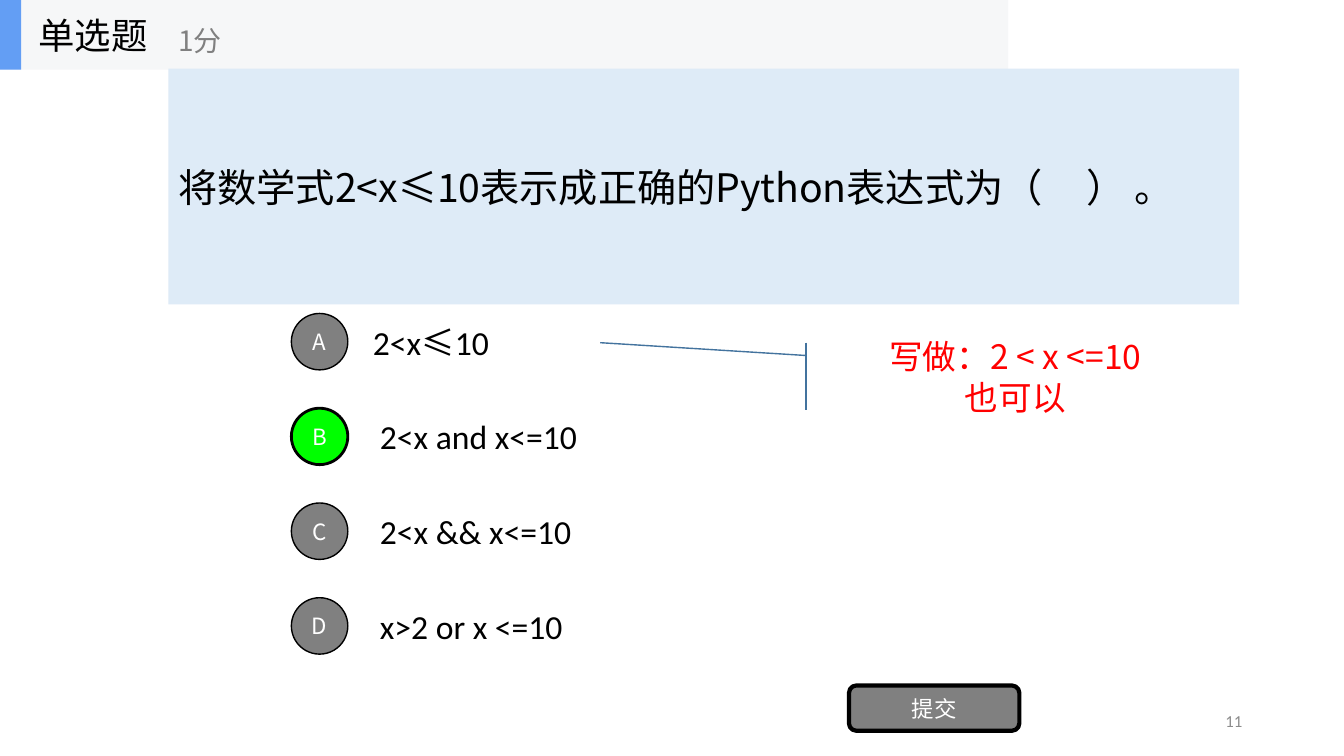
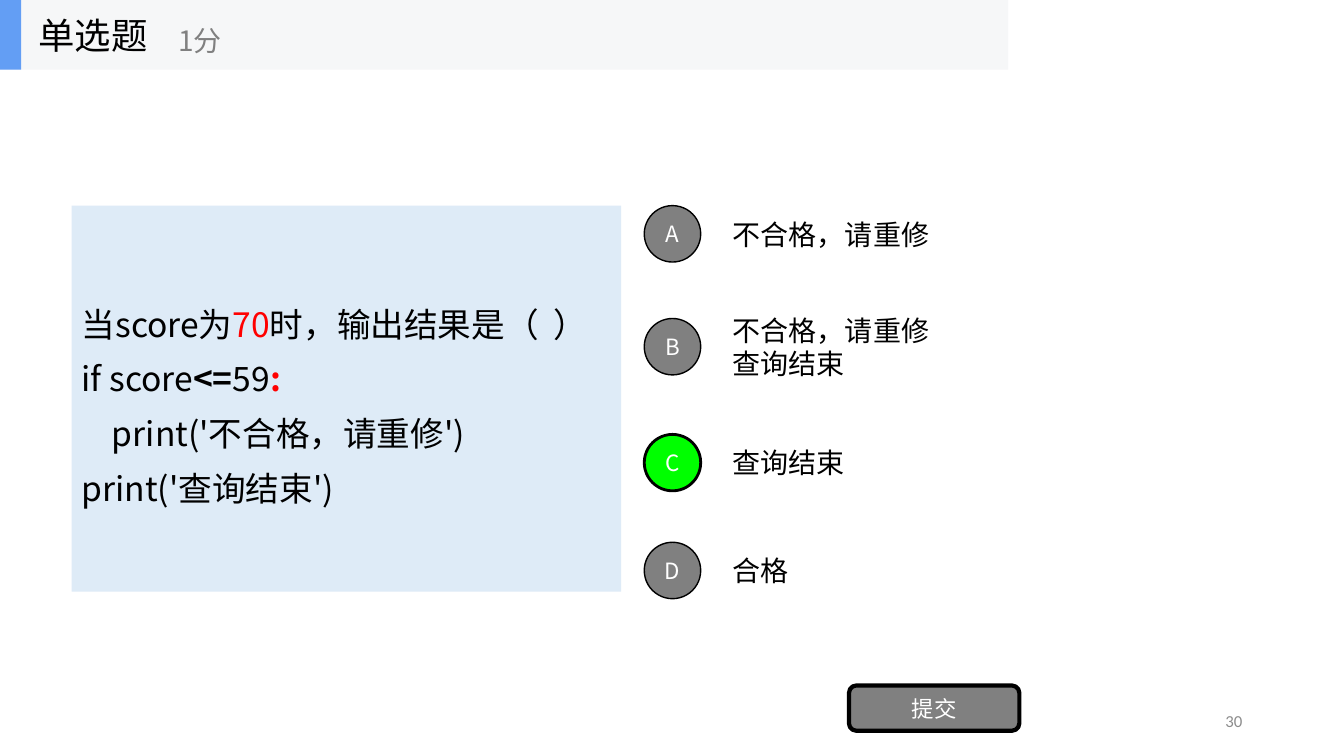
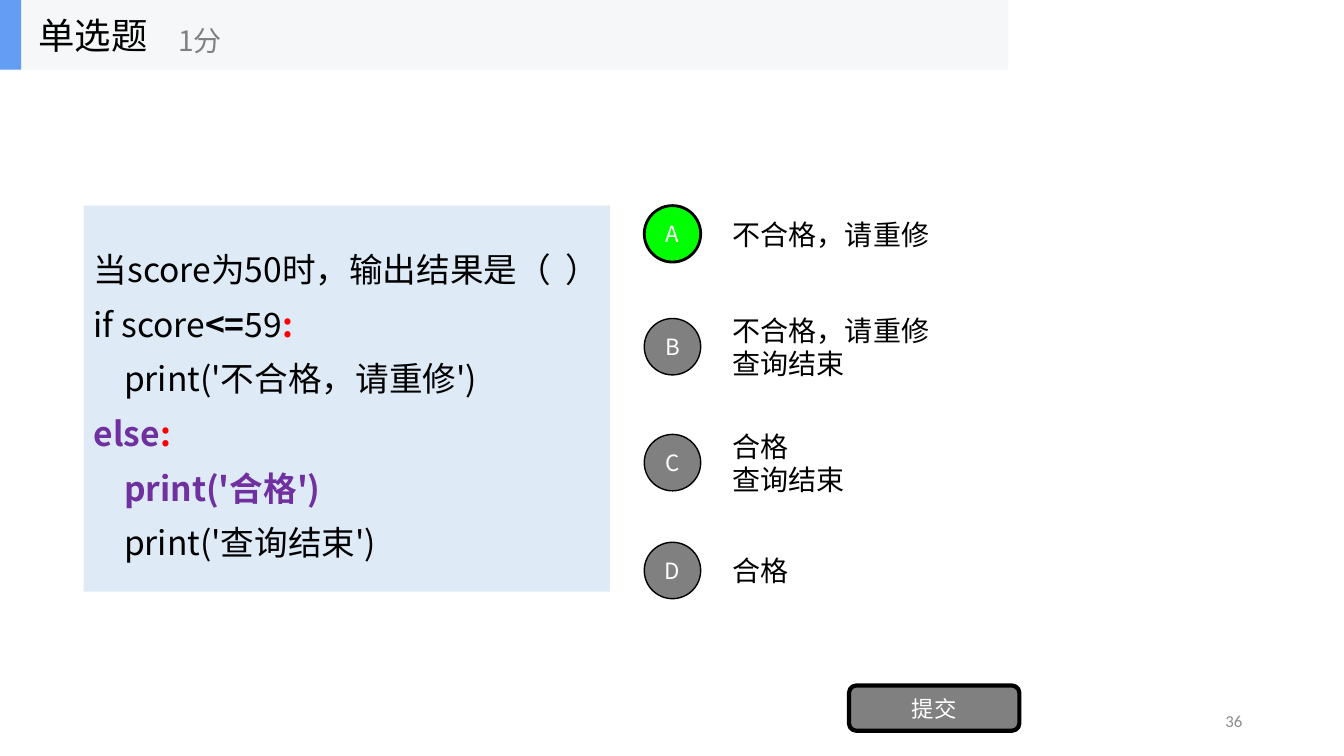
from lxml import etree
from pptx import Presentation
from pptx.dml.color import RGBColor
from pptx.enum.shapes import MSO_SHAPE
from pptx.enum.text import MSO_ANCHOR, MSO_AUTO_SIZE, PP_ALIGN
from pptx.oxml.ns import qn
from pptx.util import Inches, Pt

RECTANGLE = MSO_SHAPE.RECTANGLE
ROUNDED = MSO_SHAPE.ROUNDED_RECTANGLE
OVAL = MSO_SHAPE.OVAL
CALLOUT = MSO_SHAPE.LINE_CALLOUT_1_ACCENT_BAR
MIDDLE = MSO_ANCHOR.MIDDLE
NO_AUTOFIT = MSO_AUTO_SIZE.NONE
LEFT, CENTER, RIGHT = PP_ALIGN.LEFT, PP_ALIGN.CENTER, PP_ALIGN.RIGHT

COLORS = {
    "black": "000000",
    "white": "FFFFFF",
    "gray": "808080",
    "number": "8C8C8C",
    "band": "F6F7F8",
    "accent": "639EF4",
    "panel": "DEEBF7",
    "correct": "00FF00",
    "red": "FF0000",
    "purple": "7030A0",
    "callout": "43739E",
}
HAN = "Noto Sans CJK SC"
LATIN = "Calibri"

CIRCLE = 0.56
ANSWER_HEIGHT = 0.7
ANSWER_OFFSET = 0.78
CODE_INDENT = 0.3
CODE_SPACING = 39
CODE_TOPS = [2.04, 3.16, 4.31, 5.38]

RED_BOLD = {"color": "red", "bold": True}
PURPLE_BOLD = {"color": "purple", "bold": True}
CONDITION = (0, [("if score", {}), ("<=", {"bold": True}), ("59", {}), (":", RED_BOLD)])
PRINT_FAIL = (CODE_INDENT, [("print('不合格，请重修')", {})])


def color(name):
    return RGBColor.from_string(COLORS[name])


def place(shape, left, top, width, height):
    shape.left, shape.top = Inches(left), Inches(top)
    shape.width, shape.height = Inches(width), Inches(height)


def add_run(paragraph, text, size, font=HAN, ink="black", bold=False):
    run = paragraph.add_run()
    run.text = text
    run.font.size = Pt(size)
    run.font.bold = bold
    run.font.color.rgb = color(ink)
    run.font.name = font
    etree.SubElement(run.font._element, qn("a:ea")).set("typeface", font)


def start_lines(shape, count):
    frame = shape.text_frame
    frame.word_wrap = True
    frame.auto_size = NO_AUTOFIT
    frame.vertical_anchor = MIDDLE
    return [frame.paragraphs[0]] + [frame.add_paragraph() for _ in range(count - 1)]


def write(shape, lines, size, ink="black", align=LEFT, font=HAN):
    for paragraph, line in zip(start_lines(shape, len(lines)), lines):
        paragraph.alignment = align
        pieces = [(line, font)] if isinstance(line, str) else line
        for text, face in pieces:
            add_run(paragraph, text, size, face, ink)


def add_label(slide, box, lines, size, **style):
    label = slide.shapes.add_textbox(*map(Inches, box))
    write(label, lines, size, **style)


def add_block(slide, kind, box, fill=None, line=None, weight=1):
    block = slide.shapes.add_shape(kind, *map(Inches, box))
    block.shadow.inherit = False
    if fill:
        block.fill.solid()
        block.fill.fore_color.rgb = color(fill)
    else:
        block.fill.background()
    if line:
        block.line.color.rgb = color(line)
        block.line.width = Pt(weight)
    else:
        block.line.fill.background()
    return block


def add_header(slide):
    title = slide.shapes.title
    for box, fill in [((0, 0, 10, 0.69), "band"), ((0, 0, 0.21, 0.69), "accent")]:
        bar = add_block(slide, RECTANGLE, box, fill)
        title.element.addprevious(bar.element)
    place(title, 0.28, 0, 2.08, 0.69)
    write(title, ["单选题"], 26)
    add_label(slide, (1.67, 0.12, 2.5, 0.56), ["1分"], 20, ink="gray")


def fill_question(slide, box, lines, size, spacing=None):
    question = slide.placeholders[1]
    place(question, *box)
    question.fill.solid()
    question.fill.fore_color.rgb = color("panel")
    for paragraph, (indent, pieces) in zip(start_lines(question, len(lines)), lines):
        paragraph.alignment = LEFT
        paragraph.space_before = Pt(0)
        if spacing:
            paragraph.line_spacing = Pt(spacing)
        properties = paragraph._p.get_or_add_pPr()
        properties.set("marL", str(Inches(indent)))
        properties.set("indent", "0")
        etree.SubElement(properties, qn("a:buNone"))
        for text, style in pieces:
            add_run(paragraph, text, size, ink=style.get("color", "black"),
                    bold=style.get("bold", False))


def add_options(slide, left, tops, answers, correct, size, width, font=HAN, first_shift=0):
    for letter, top, lines in zip("ABCD", tops, answers):
        is_correct = letter == correct
        marker = add_block(slide, OVAL, (left, top, CIRCLE, CIRCLE),
                           "correct" if is_correct else "gray", "black",
                           2 if is_correct else 1)
        write(marker, [letter], 16, "white", CENTER)
        answer_left = left + ANSWER_OFFSET + (first_shift if letter == "A" else 0)
        answer_top = top - (ANSWER_HEIGHT - CIRCLE) / 2
        add_label(slide, (answer_left, answer_top, width, ANSWER_HEIGHT),
                  lines, size, font=font)


def add_quiz_slide(prs, number):
    slide = prs.slides.add_slide(prs.slide_layouts[1])
    add_header(slide)
    submit = add_block(slide, ROUNDED, (8.42, 6.8, 1.69, 0.45), "gray", "black", 3)
    write(submit, ["提交"], 16, "white", CENTER)
    add_label(slide, (9.42, 6.95, 3, 0.4), [str(number)], 12,
              ink="number", align=RIGHT, font=LATIN)
    return slide


def add_expression_slide(prs):
    slide = add_quiz_slide(prs, 11)
    question = "将数学式2<x≤10表示成正确的Python表达式为（     ） 。"
    fill_question(slide, (1.67, 0.68, 10.62, 2.34), [(0, [(question, {})])], 28)
    answers = [
        [[("2<x", LATIN), ("≤", HAN), ("10", LATIN)]],
        ["2<x and x<=10"],
        ["2<x && x<=10"],
        ["x>2 or x <=10"],
    ]
    tops = [3.11 + 0.94 * row for row in range(4)]
    add_options(slide, 2.89, tops, answers, "B", 24, 2.24, LATIN, -0.07)
    remark = add_block(slide, CALLOUT, (8.28, 3.4, 3.58, 0.67), line="callout")
    for index, value in enumerate([0.19, -0.08, 0, -0.65]):
        remark.adjustments[index] = value
    write(remark, ["写做：2 < x <=10", "也可以"], 24, "red", CENTER)


def add_code_slide(prs, number, left, width, code, answers, correct):
    slide = add_quiz_slide(prs, number)
    fill_question(slide, (left, 2.04, width, 3.83), code, 24, CODE_SPACING)
    add_options(slide, 6.39, CODE_TOPS, answers, correct, 20, 2.94)


def main():
    prs = Presentation()
    prs.slide_width, prs.slide_height = Inches(13.33), Inches(7.5)
    add_expression_slide(prs)

    fail, done, passed = "不合格，请重修", "查询结束", "合格"
    single_branch = [
        (0, [("当score为", {}), ("70", {"color": "red"}), ("时，输出结果是（  ）", {})]),
        CONDITION,
        PRINT_FAIL,
        (0, [("print('查询结束')", {})]),
    ]
    add_code_slide(prs, 30, 0.71, 5.45, single_branch,
                   [[fail], [fail, done], [done], [passed]], "C")

    two_branches = [
        (0, [("当score为50时，输出结果是（  ）", {})]),
        CONDITION,
        PRINT_FAIL,
        (0, [("else", PURPLE_BOLD), (":", RED_BOLD)]),
        (CODE_INDENT, [("print('合格')", PURPLE_BOLD)]),
        (CODE_INDENT, [("print('查询结束')", {})]),
    ]
    add_code_slide(prs, 36, 0.83, 5.22, two_branches,
                   [[fail], [fail, done], [passed, done], [passed]], "A")
    prs.save("out.pptx")


if __name__ == "__main__":
    main()
